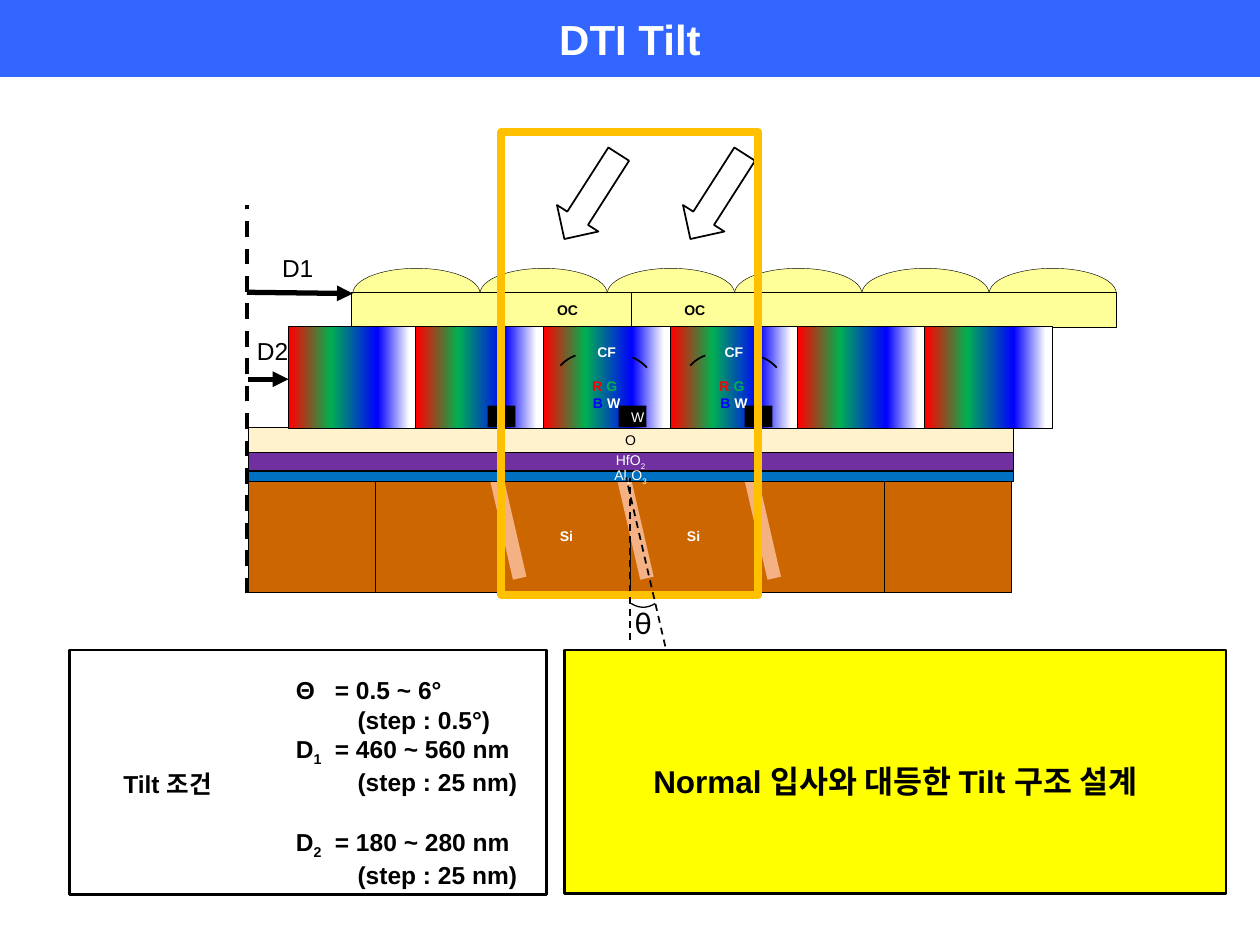
from dataclasses import dataclass
from typing import Any

from lxml import etree
from pptx import Presentation
from pptx.dml.color import RGBColor
from pptx.enum.dml import MSO_LINE_DASH_STYLE as Dash
from pptx.enum.shapes import MSO_CONNECTOR, MSO_SHAPE as Shape
from pptx.enum.text import MSO_ANCHOR as Anchor, PP_ALIGN as Align
from pptx.oxml.ns import qn
from pptx.util import Inches, Pt

COLORS = {
    "black": "000000", "white": "FFFFFF", "title": "3366FF", "lens": "FFFF99",
    "oxide": "FFF2CC", "hafnia": "7030A0", "alumina": "0070C0",
    "silicon": "CC6600", "trench": "F4B183", "frame": "FFC000",
    "yellow": "FFFF00", "red": "FF0000", "green": "00B050", "blue": "0000FF",
}
FILTER_STOPS = [(1, "red"), (33, "green"), (70, "blue"), (95, "white")]
PITCH = 1.01
LABEL = {"size": Pt(8), "bold": True}
PLAIN = {"size": Pt(8)}
SUB = -25000  # subscript baseline


def rgb(name):
    return RGBColor.from_string(COLORS[name])


def write(frame, paragraphs, font, color="black", align=Align.CENTER, insets=None):
    """Fill a text frame; each paragraph is a list of (text, color, baseline)."""
    frame.word_wrap = True
    if insets:
        sides = ("left", "top", "right", "bottom")
        for side, inset in zip(sides, insets):
            setattr(frame, f"margin_{side}", Inches(inset))
    for index, runs in enumerate(paragraphs):
        paragraph = frame.paragraphs[0] if index == 0 else frame.add_paragraph()
        paragraph.alignment = align
        for text, run_color, baseline in runs:
            run = paragraph.add_run()
            run.text = text
            for name, value in {"name": "Arial", **font}.items():
                setattr(run.font, name, value)
            run.font.color.rgb = rgb(run_color or color)
            if baseline:
                run.font._element.set("baseline", str(baseline))


def plain(text):
    return [[(text, None, 0)]]


def style(shape, fill=None, line=None, weight=0.5):
    shape.shadow.inherit = False
    if fill:
        shape.fill.solid()
        shape.fill.fore_color.rgb = rgb(fill)
    else:
        shape.fill.background()
    if line:
        shape.line.color.rgb = rgb(line)
        shape.line.width = Pt(weight)
    else:
        shape.line.fill.background()


@dataclass
class Region:
    """An area of the slide; its parts are placed from its top left corner."""
    slide: Any
    left: float
    top: float

    def place(self, x, y):
        return Inches(self.left + x), Inches(self.top + y)

    def box(self, x, y, width, height, fill=None, line="black", weight=0.5,
            kind=Shape.RECTANGLE, rotation=0):
        shape = self.slide.shapes.add_shape(
            kind, *self.place(x, y), Inches(width), Inches(height))
        style(shape, fill, line, weight)
        shape.rotation = rotation
        return shape

    def text(self, x, y, width, height, paragraphs, font):
        shape = self.slide.shapes.add_textbox(
            *self.place(x, y), Inches(width), Inches(height))
        write(shape.text_frame, paragraphs, font, align=Align.LEFT,
              insets=(0.1, 0.05, 0, 0.05))
        return shape

    def line(self, start, end, weight, dash=None, arrow=False):
        line = self.slide.shapes.add_connector(
            MSO_CONNECTOR.STRAIGHT, *self.place(*start), *self.place(*end))
        line.line.color.rgb = rgb("black")
        line.line.width = Pt(weight)
        if dash:
            line.line.dash_style = dash
        if arrow:
            etree.SubElement(line.line._get_or_add_ln(), qn("a:tailEnd"), type="triangle")
        etree.SubElement(line._element.spPr, qn("a:effectLst"))


def add_title(slide):
    title = slide.shapes.title
    title.left, title.top, title.width, title.height = 0, 0, Inches(10), Inches(0.61)
    title.fill.solid()
    title.fill.fore_color.rgb = rgb("title")
    title.text_frame.vertical_anchor = Anchor.MIDDLE
    write(title.text_frame, plain("DTI Tilt"), {"size": Pt(24), "bold": True}, "white")


def fill_gradient(shape):
    shape.fill.gradient()
    shape.fill.gradient_angle = 0
    stops = shape._element.spPr.find(qn("a:gradFill")).find(qn("a:gsLst"))
    for stop in list(stops):
        stops.remove(stop)
    for position, name in FILTER_STOPS:
        stop = etree.SubElement(stops, qn("a:gs"), pos=str(position * 1000))
        etree.SubElement(stop, qn("a:srgbClr"), val=COLORS[name])


def add_color_filters(region):
    caption = [[("CF", "white", 0)],
               [("R ", "red", 0), ("G ", "green", 0)],
               [("B ", "blue", 0), ("W", "white", 0)]]
    for column in range(6):
        cell = region.box(0.33 + PITCH * column, 1.54, PITCH, 0.81)
        fill_gradient(cell)
        if column in (2, 3):
            write(cell.text_frame, caption, LABEL, insets=(0, 0, 0, 0))
            cell.text_frame.paragraphs[1].space_before = Pt(9.5)
    # Brackets around the filter letters
    for offset in (0, 1.03):
        for x, width, height, rotation in ((2.41, 0.61, 0.59, 45), (2.66, 0.59, 0.61, 315)):
            bracket = region.box(x + offset, 1.76, width, height, weight=1,
                                 kind=Shape.ARC, rotation=rotation)
            bracket.adjustments[0], bracket.adjustments[1] = 106.09, 122.51
            if rotation == 315:
                bracket._element.spPr.xfrm.set("flipH", "1")


def add_cross_section(region):
    # Micro lenses and oxide
    for column in range(6):
        region.box(0.84 + PITCH * column, 1.08, PITCH, 0.4, "lens", weight=0.25,
                   kind=Shape.OVAL)
    oxide = region.box(0.01, 2.34, 6.07, 0.2, "oxide", weight=0.25)
    write(oxide.text_frame, plain("O"), PLAIN)
    # Silicon pixels and overcoat
    for column in range(6):
        pixel = region.box(0.01 + PITCH * column, 2.76, PITCH, 0.89, "silicon")
        if column in (2, 3):
            write(pixel.text_frame, plain("Si"), LABEL, "white")
    for x, width, name in ((0.83, 1.21, ""), (4.05, 2.85, ""),
                           (2.04, PITCH, "OC"), (3.05, PITCH, "OC")):
        coat = region.box(x, 1.27, width, 0.28, "lens")
        if name:
            write(coat.text_frame, plain(name), LABEL)
    add_color_filters(region)
    # Metal grid
    for x, name in ((1.91, ""), (2.95, "W"), (3.95, "")):
        metal = region.box(x, 2.17, 0.22, 0.17, "black", None)
        if name:
            write(metal.text_frame, plain(name), PLAIN, "white")
    # Tilted trenches, thin films and incident light
    for column in range(3):
        region.box(2.02 + PITCH * column, 2.75, 0.11, 0.8, "trench", None, rotation=347)
    films = ((2.54, 0.14, "hafnia", [("HfO", None, 0), ("2", None, SUB)]),
             (2.69, 0.08, "alumina", [("Al", None, 0), ("2", None, SUB),
                                      ("O", None, 0), ("3", None, SUB)]))
    for y, height, fill, formula in films:
        film = region.box(0.01, y, 6.07, height, fill, weight=0.25)
        write(film.text_frame, [formula], PLAIN, "white")
    for x in (2.54, 3.54):
        region.box(x, 0.11, 0.39, 0.8, weight=1, kind=Shape.DOWN_ARROW, rotation=32.6)
    region.box(2.02, 0, 2.04, 3.67, line="frame", weight=4.5)
    # Centre axis and shifts
    region.line((0, 3.66), (0, 0.58), 2.25, Dash.DASH)
    region.line((0, 1.27), (0.84, 1.28), 3, arrow=True)
    region.line((0.01, 1.96), (0.33, 1.96), 3, arrow=True)
    for name, x, y in (("D1", 0.18, 0.91), ("D2", -0.02, 1.57)):
        region.text(x, y, 0.46, 0.31, plain(name), {"size": Pt(14)})


def add_angle(region):
    region.line((0.06, 1.29), (0.06, 0), 1, Dash.DASH)
    region.line((0.34, 1.34), (0.03, 0), 1, Dash.DASH)
    region.text(0, 0.95, 0.3, 0.4, plain("θ"), {"size": Pt(18), "name": "Calibri"})
    # Shallow angle mark
    steps = [step / 10 for step in range(11)]
    points = [region.place(0.07 + 0.19 * t, 1 + 0.12 * t * (1 - t)) for t in steps]
    builder = region.slide.shapes.build_freeform(*points[0])
    builder.add_line_segments(points[1:], close=False)
    style(builder.convert_to_shape(), line="black", weight=0.75)


def add_conditions(region):
    font = {"size": Pt(14), "bold": True}
    region.box(0, 0, 3.79, 1.94, weight=1.5)
    heading = region.box(0, 0.69, 1.56, 0.62, line=None)
    write(heading.text_frame, plain("Tilt 조건"), font)
    heading.text_frame.paragraphs[0].line_spacing = 1.5
    rows = (("Θ", "", "0.5 ~ 6°", "0.5°"), ("D", "1", "460 ~ 560 nm", "25 nm"),
            ("D", "2", "180 ~ 280 nm", "25 nm"))
    paragraphs = []
    for symbol, index, values, step in rows:
        subscript = [(index, None, SUB)] if index else []
        paragraphs += [[(symbol, None, 0), *subscript, (f"\t= {values}", None, 0)],
                       [(f"(step : {step})", None, 0)]]
    frame = region.text(1.7, 0.15, 1.96, 1.67, paragraphs, font).text_frame
    for number, paragraph in enumerate(frame.paragraphs):
        properties = paragraph._p.get_or_add_pPr()
        if number % 2:
            properties.set("marL", str(Inches(0.49)))
        else:
            tabs = etree.SubElement(properties, qn("a:tabLst"))
            etree.SubElement(tabs, qn("a:tab"), pos=str(Inches(0.31)), algn="l")
    frame.paragraphs[4].space_before = Pt(17)


def add_conclusion(region):
    shape = region.box(0, 0, 5.25, 1.93, "yellow", weight=1.5)
    write(shape.text_frame, plain("Normal 입사와 대등한 Tilt 구조 설계"),
          {"size": Pt(18), "bold": True})
    shape.text_frame.paragraphs[0].line_spacing = 1.5


def main():
    presentation = Presentation()
    presentation.slide_width, presentation.slide_height = Inches(10), Inches(7.5)
    slide = presentation.slides.add_slide(presentation.slide_layouts[5])
    add_title(slide)
    add_cross_section(Region(slide, 1.96, 1.05))
    add_conclusion(Region(slide, 4.48, 5.16))
    add_conditions(Region(slide, 0.55, 5.16))
    add_angle(Region(slide, 4.94, 3.79))
    presentation.save("out.pptx")


if __name__ == "__main__":
    main()
